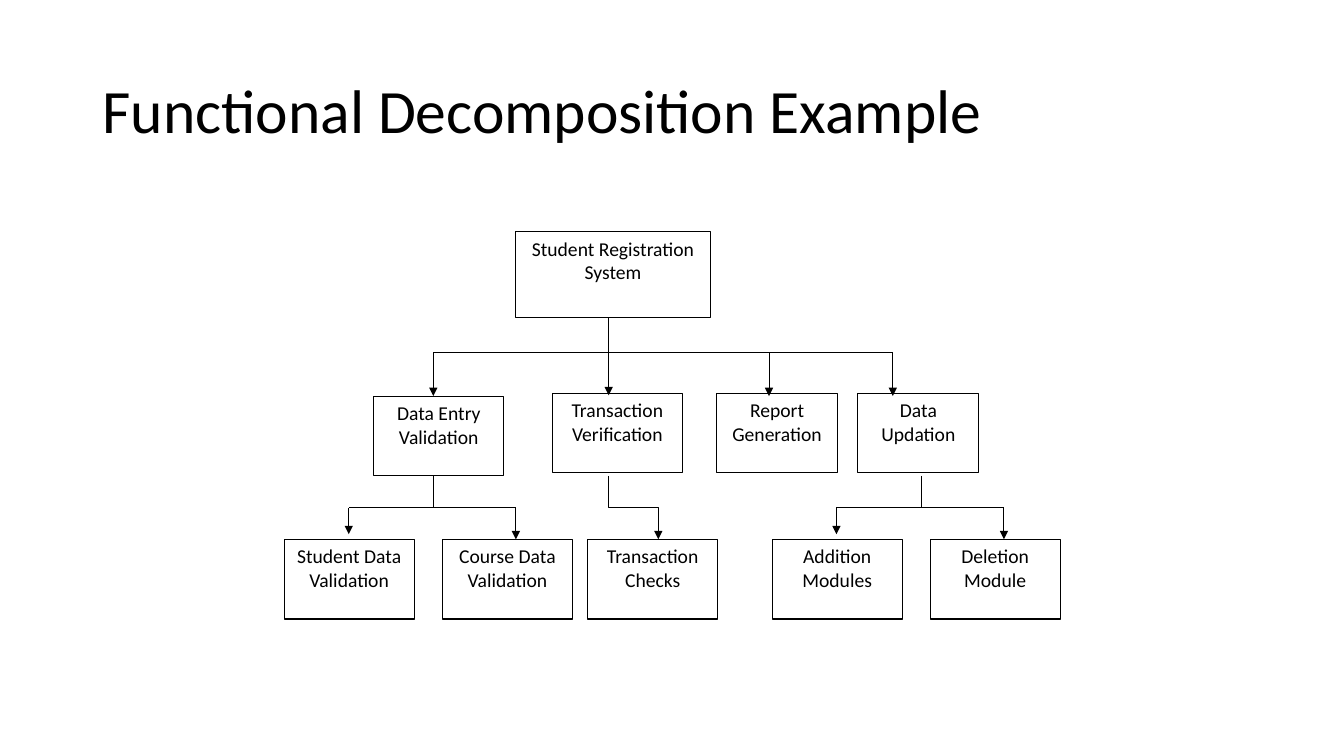
import pptx
import pptx.util
import pptx.dml.color
import pptx.enum.shapes
import pptx.enum.text
import pptx.oxml
import pptx.oxml.ns
from pptx.util import Cm

TITLE = "Functional Decomposition Example"
FONT = "Calibri"
BLACK = "000000"
WHITE = "FFFFFF"

MODULE_HEIGHT = 2.01
WIDE = 3.28
NARROW = 3.05
MODULE_TOP = 9.91
LEAF_TOP = 13.59

functions = [
    ("Student Registration System", 13, 5.84, 4.9, 2.16),
    ("Data Entry Validation", 9.42, 9.98, WIDE, MODULE_HEIGHT),
    ("Transaction Verification", 13.92, MODULE_TOP, WIDE, MODULE_HEIGHT),
    ("Report Generation", 18.06, MODULE_TOP, NARROW, MODULE_HEIGHT),
    ("Data Updation", 21.62, MODULE_TOP, NARROW, MODULE_HEIGHT),
    ("Student Data Validation", 7.16, LEAF_TOP, WIDE, MODULE_HEIGHT),
    ("Course Data Validation", 11.15, LEAF_TOP, WIDE, MODULE_HEIGHT),
    ("Transaction Checks", 14.81, LEAF_TOP, WIDE, MODULE_HEIGHT),
    ("Addition Modules", 19.46, LEAF_TOP, WIDE, MODULE_HEIGHT),
    ("Deletion Module", 23.44, LEAF_TOP, WIDE, MODULE_HEIGHT),
]

branches = [
    {"stem": 15.34, "top": 8, "bus": 8.89,
     "drops": [(10.92, 9.98), (15.34, 9.96), (19.38, 9.98), (22.5, 9.98)]},
    {"stem": 10.92, "top": 11.99, "bus": 12.8,
     "drops": [(8.79, 13.46), (13, LEAF_TOP)]},
    {"stem": 23.22, "top": 11.99, "bus": 12.8,
     "drops": [(21.08, 13.46), (25.3, LEAF_TOP)]},
]

checks_link = ((15.34, 11.99), (16.59, LEAF_TOP))


def color(value):
    return pptx.dml.color.RGBColor.from_string(value)


def outline(item):
    item.line.color.rgb = color(BLACK)
    item.line.width = pptx.util.Pt(0.75)


def write(frame, text, size, alignment):
    frame.text = text
    paragraph = frame.paragraphs[0]
    paragraph.alignment = alignment
    paragraph.font.name = FONT
    paragraph.font.size = pptx.util.Pt(size)
    paragraph.font.color.rgb = color(BLACK)
    return paragraph


def add_function(slide, text, left, top, width, height):
    box = slide.shapes.add_shape(
        pptx.enum.shapes.MSO_SHAPE.RECTANGLE,
        Cm(left), Cm(top), Cm(width), Cm(height))
    box.shadow.inherit = False
    box.fill.solid()
    box.fill.fore_color.rgb = color(WHITE)
    outline(box)
    box.text_frame.word_wrap = True
    box.text_frame.vertical_anchor = pptx.enum.text.MSO_ANCHOR.TOP
    write(box.text_frame, text, 14, pptx.enum.text.PP_ALIGN.CENTER)


def add_link(slide, start, end, arrow=False, kind="STRAIGHT"):
    link = slide.shapes.add_connector(
        pptx.enum.shapes.MSO_CONNECTOR[kind],
        *(Cm(length) for length in start + end))
    outline(link)
    properties = link._element.spPr
    if arrow:
        line = properties.find(pptx.oxml.ns.qn("a:ln"))
        line.append(pptx.oxml.parse_xml(
            f'<a:tailEnd {pptx.oxml.ns.nsdecls("a")} type="triangle"/>'))
    properties.append(pptx.oxml.parse_xml(
        f'<a:effectLst {pptx.oxml.ns.nsdecls("a")}/>'))
    return link


def add_branch(slide, stem, top, bus, drops):
    add_link(slide, (stem, top), (stem, bus))
    add_link(slide, (drops[0][0], bus), (drops[-1][0], bus))
    for x, tip in drops:
        add_link(slide, (x, bus), (x, tip), arrow=True)


def add_vertical_elbow(slide, start, end):
    center_x, center_y = ((a + b) / 2 for a, b in zip(start, end))
    half_width = (end[1] - start[1]) / 2
    half_height = (end[0] - start[0]) / 2
    elbow = add_link(
        slide,
        (center_x + half_width, center_y - half_height),
        (center_x - half_width, center_y + half_height),
        arrow=True, kind="ELBOW")
    elbow._element.spPr.find(pptx.oxml.ns.qn("a:xfrm")).set("rot", "16200000")


def main():
    presentation = pptx.Presentation()
    presentation.slide_width = Cm(33.87)
    presentation.slide_height = Cm(19.05)
    slide = presentation.slides.add_slide(presentation.slide_layouts[5])

    title = slide.shapes.title
    title.left, title.top = Cm(2.33), Cm(1.01)
    title.width, title.height = Cm(29.21), Cm(3.68)
    title.text_frame.vertical_anchor = pptx.enum.text.MSO_ANCHOR.MIDDLE
    heading = write(title.text_frame, TITLE, 44, pptx.enum.text.PP_ALIGN.LEFT)
    heading.line_spacing = 0.9

    for function in functions:
        add_function(slide, *function)
    for branch in branches:
        add_branch(slide, **branch)
    add_vertical_elbow(slide, *checks_link)

    presentation.save("out.pptx")


if __name__ == "__main__":
    main()
